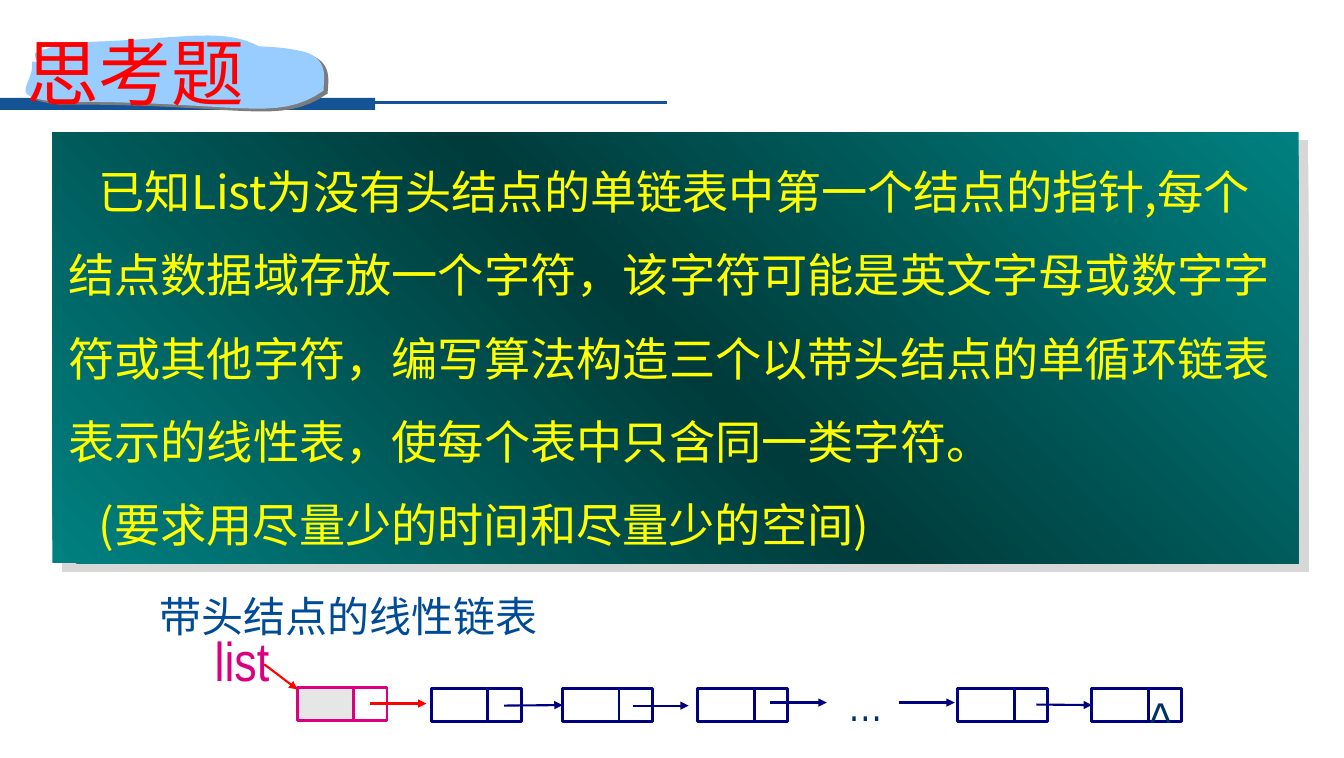
from pptx import Presentation
from pptx.dml.color import RGBColor
from pptx.enum.shapes import MSO_CONNECTOR, MSO_SHAPE
from pptx.enum.text import MSO_ANCHOR
from pptx.oxml import parse_xml
from pptx.oxml.ns import nsdecls, qn
from pptx.util import Inches, Pt
from lxml.etree import SubElement

# Content
TITLE = ["思考题"]
QUESTION = [
    "已知List为没有头结点的单链表中第一个结点的指针,每个结点数据域存放一个字符，"
    "该字符可能是英文字母或数字字符或其他字符，编写算法构造三个以带头结点的单循环链表"
    "表示的线性表，使每个表中只含同一类字符。",
    "(要求用尽量少的时间和尽量少的空间)",
]
CAPTION = ["带头结点的线性链表"]

# Fonts and colours
CJK_FONT = "Noto Sans CJK SC"
LATIN_FONT = "Arial Narrow"
BAR_BLUE = RGBColor(0x14, 0x53, 0x96)
CLOUD_BLUE = RGBColor(0x99, 0xCC, 0xFF)
NAVY = RGBColor(0x00, 0x00, 0x80)
INK = RGBColor(0x00, 0x32, 0x64)
CAPTION_BLUE = RGBColor(0x00, 0x4B, 0x96)
RED = RGBColor(0xFF, 0x00, 0x00)
YELLOW = RGBColor(0xFF, 0xFF, 0x00)
MAGENTA = RGBColor(0xDC, 0x00, 0x81)
GREY = RGBColor(0xE6, 0xE6, 0xE6)
BLACK = RGBColor(0x00, 0x00, 0x00)
PANEL_SHADOW = RGBColor(0xD7, 0xD7, 0xD7)
CLOUD_SHADOW = RGBColor(0x7B, 0x7B, 0x7B)
PANEL_STOPS = [(0, "008080"), (50, "003B3B"), (100, "008080")]

# Linked list: cell sizes, left edges of nodes, arrows
DATA_WIDTH, LINK_WIDTH, CELL_HEIGHT = 0.56, 0.33, 0.33
NODE_TOP, HEAD_TOP, HEAD_LEFT = 6.83, 6.82, 2.95
NODE_LEFTS = [4.28, 5.58, 6.92, 9.5, 10.83]
# from, to, colour, line width, index of the node joined at its left side
ARROWS = [
    ((2.62, 6.59), (2.95, 6.84), RED, 1.5, None),
    ((3.67, 6.98), (4.23, 6.98), RED, 1.75, None),
    ((5, 7), (5.56, 7), NAVY, 1.5, 1),
    ((6.28, 7), (6.83, 7), NAVY, 1.5, None),
    ((7.64, 6.97), (8.2, 6.97), NAVY, 1.5, None),
    ((8.92, 6.97), (9.47, 6.97), NAVY, 1.5, None),
    ((10.28, 6.99), (10.83, 6.99), NAVY, 1.5, 4),
]

# Cloud outline: start point, then cubic curves
CLOUD_START = (0.32, 0.61)
CLOUD_CURVES = [
    ((0.34, 0.86), (0.05, 0.95), (0.54, 1.01)),
    ((2.39, 1), (2.73, 1.23), (3.21, 0.9)),
    ((3.2, 0.83), (3.3, 0.55), (2.95, 0.5)),
    ((2.8, 0.47), (2.73, 0.47), (2.57, 0.46)),
    ((2.17, 0.25), (1.73, 0.41), (0.67, 0.42)),
    ((0.56, 0.44), (0.52, 0.47), (0.41, 0.5)),
    ((0.39, 0.51), (0.35, 0.52), (0.35, 0.53)),
    ((0.33, 0.62), (0.48, 0.64), (0.32, 0.61)),
]
CURVE_STEPS = 16

presentation = Presentation()
presentation.slide_width = Inches(13.33)
presentation.slide_height = Inches(7.52)
slide = presentation.slides.add_slide(presentation.slide_layouts[6])


def add_shadow(properties, color, distance, angle):
    effects = properties.find(qn("a:effectLst"))
    if effects is None:
        effects = SubElement(properties, qn("a:effectLst"))
    shadow = SubElement(effects, qn("a:outerShdw"), dist=str(Pt(distance)),
                        dir=str(angle * 60000), algn="ctr", rotWithShape="0")
    SubElement(shadow, qn("a:srgbClr"), val=str(color))


def format_shape(shape, fill=None, line=None, width=2):
    shape.shadow.inherit = False
    if fill is None:
        shape.fill.background()
    else:
        shape.fill.solid()
        shape.fill.fore_color.rgb = fill
    if line is None:
        shape.line.fill.background()
    else:
        shape.line.color.rgb = line
        shape.line.width = Pt(width)
    return shape


def add_box(left, top, width, height, **style):
    shape = slide.shapes.add_shape(MSO_SHAPE.RECTANGLE, Inches(left), Inches(top),
                                   Inches(width), Inches(height))
    return format_shape(shape, **style)


def add_line(start, end, color, width, arrow=False):
    x1, y1, x2, y2 = (Inches(value) for value in start + end)
    line = slide.shapes.add_connector(MSO_CONNECTOR.STRAIGHT, x1, y1, x2, y2)
    line.line.color.rgb = color
    line.line.width = Pt(width)
    if arrow:
        SubElement(line.line._get_or_add_ln(), qn("a:tailEnd"), type="triangle")
    SubElement(line._element.spPr, qn("a:effectLst"))
    return line


def add_text(lines, left, top, width, height, size, color, font=LATIN_FONT,
             anchor=MSO_ANCHOR.TOP, wrap=True, indent=0, spacing=None, shadow=None):
    frame = slide.shapes.add_textbox(Inches(left), Inches(top), Inches(width),
                                     Inches(height)).text_frame
    frame.word_wrap = wrap
    frame.vertical_anchor = anchor
    for index, line in enumerate(lines):
        paragraph = frame.add_paragraph() if index else frame.paragraphs[0]
        paragraph.line_spacing = spacing
        if indent:
            paragraph._p.get_or_add_pPr().set("indent", str(Inches(indent)))
        run = paragraph.add_run()
        run.text = line
        run.font.size = Pt(size)
        run.font.color.rgb = color
        if shadow is not None:
            add_shadow(run._r.get_or_add_rPr(), shadow, 2, 45)
        run.font.name = font
        SubElement(run._r.rPr, qn("a:ea"), typeface=CJK_FONT)


def add_node(left, top, color, fill=None):
    data = add_box(left, top, DATA_WIDTH, CELL_HEIGHT, fill=fill, line=color)
    add_box(left + DATA_WIDTH, top, LINK_WIDTH, CELL_HEIGHT, line=color)
    return data


def curve_points(start, curves):
    for first, second, end in curves:
        for step in range(1, CURVE_STEPS + 1):
            t = step / CURVE_STEPS
            weights = ((1 - t) ** 3, 3 * t * (1 - t) ** 2, 3 * t * t * (1 - t), t ** 3)
            controls = (start, first, second, end)
            yield tuple(Inches(sum(weight * point[axis] for weight, point
                                   in zip(weights, controls))) for axis in (0, 1))
        start = end


# Title bar
add_box(0, 0.97, 3.72, 0.12, fill=BAR_BLUE)
add_line((3.68, 1.02), (6.62, 1.02), BAR_BLUE, 2.25)

# Question panel with diagonal gradient
panel = add_box(0.52, 1.31, 12.36, 4.28)
stops = "".join(f'<a:gs pos="{position * 1000}"><a:srgbClr val="{color}"/></a:gs>'
                for position, color in PANEL_STOPS)
gradient = parse_xml(f'<a:gradFill {nsdecls("a")} rotWithShape="1"><a:gsLst>{stops}</a:gsLst>'
                     f'<a:lin ang="{315 * 60000}" scaled="0"/></a:gradFill>')
panel_properties = panel._element.spPr
panel_properties.replace(panel_properties.find(qn("a:noFill")), gradient)
add_shadow(panel_properties, PANEL_SHADOW, 9.2, 41)
add_text(QUESTION, 0.58, 0.86, 12.24, 5.1, size=33, color=YELLOW, font=CJK_FONT,
         anchor=MSO_ANCHOR.MIDDLE, indent=0.3, spacing=1.5, shadow=BLACK)

# Title on its cloud
builder = slide.shapes.build_freeform(*(Inches(value) for value in CLOUD_START))
builder.add_line_segments(list(curve_points(CLOUD_START, CLOUD_CURVES)), close=True)
cloud = format_shape(builder.convert_to_shape(), fill=CLOUD_BLUE)
add_shadow(cloud._element.spPr, CLOUD_SHADOW, 3.6, 34)
add_text(TITLE, 0.16, 0.22, 3.25, 0.98, size=52, color=RED,
         anchor=MSO_ANCHOR.MIDDLE, shadow=BLACK)

# Linked list
nodes = [add_node(left, NODE_TOP, NAVY) for left in NODE_LEFTS]
add_text(["…"], 8.31, 6.68, 0.56, 0.62, size=31, color=INK, wrap=False)
add_text(["^"], 11.31, 6.77, 0.41, 0.76, size=39, color=INK, wrap=False)
add_text(["list"], 2.03, 6.17, 0.89, 0.76, size=39, color=MAGENTA)
add_text(CAPTION, 1.48, 5.81, 4.67, 0.61, size=30, color=CAPTION_BLUE, font=CJK_FONT)
add_node(HEAD_LEFT, HEAD_TOP, MAGENTA, fill=GREY)
for start, end, color, width, target in ARROWS:
    arrow = add_line(start, end, color, width, arrow=True)
    if target is not None:
        arrow.end_connect(nodes[target], 1)

presentation.save("out.pptx")
